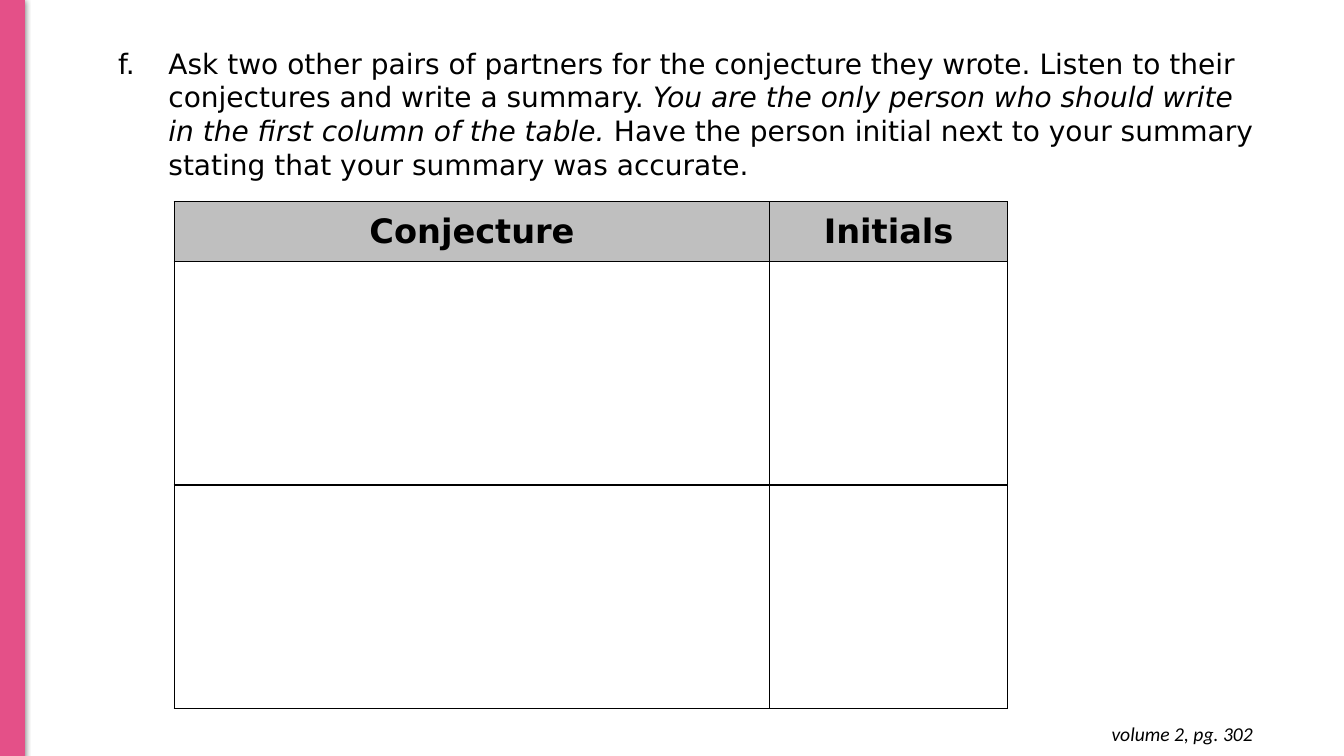
import pptx
import pptx.util
import pptx.dml.color
import pptx.enum.shapes
import pptx.enum.text
import pptx.oxml.ns
import lxml.etree

Cm = pptx.util.Cm
Pt = pptx.util.Pt
ALIGN = pptx.enum.text.PP_ALIGN
HUES = {"pink": "E45088", "black": "000000", "gray": "BFBFBF"}


def tint(name):
    return pptx.dml.color.RGBColor.from_string(HUES[name])


def write(para, text, size=20, face="DejaVu Sans", bold=False, slant=False, align=ALIGN.LEFT):
    para.alignment = align
    run = para.add_run()
    run.text = text
    font = run.font
    font.size, font.name = Pt(size), face
    font.bold, font.italic = bold, slant
    font.color.rgb = tint("black")


deck = pptx.Presentation()
deck.slide_width, deck.slide_height = Cm(33.87), Cm(19.05)
slide = deck.slides.add_slide(deck.slide_layouts[1])
title = slide.shapes.title
title.element.getparent().remove(title.element)
body = slide.placeholders[1]
ns = pptx.oxml.ns.nsdecls("a")

# Side bar with soft shadow
bar = slide.shapes.add_shape(
    pptx.enum.shapes.MSO_SHAPE.RECTANGLE, 0, Cm(-0.03), Cm(0.61), Cm(19.08))
bar.fill.solid()
bar.fill.fore_color.rgb = tint("pink")
bar.line.color.rgb = tint("pink")
bar.line.width = Pt(0.75)
bar.shadow.inherit = False
glow = bar.element.spPr.find(pptx.oxml.ns.qn("a:effectLst"))
glow.append(lxml.etree.fromstring(
    f'<a:outerShdw {ns} blurRad="{Pt(4.5)}" dist="{Pt(1.5)}" dir="5400000" rotWithShape="0">'
    f'<a:srgbClr val="{HUES["black"]}"><a:alpha val="50000"/></a:srgbClr></a:outerShdw>'))

# Task, lettered f.
body.left, body.top, body.width, body.height = Cm(1.5), Cm(1.04), Cm(30.5), Cm(3.68)
frame = body.text_frame
frame.word_wrap = True
frame.auto_size = pptx.enum.text.MSO_AUTO_SIZE.NONE
frame.vertical_anchor = pptx.enum.text.MSO_ANCHOR.TOP
task = frame.paragraphs[0]
props = task._p.get_or_add_pPr()
props.set("marL", str(Cm(2.49)))
props.set("indent", str(Cm(-1.27)))
for mark in (f'<a:buClr {ns}><a:srgbClr val="{HUES["black"]}"/></a:buClr>',
             f'<a:buFont {ns} typeface="DejaVu Sans"/>',
             f'<a:buAutoNum {ns} type="alphaLcPeriod" startAt="6"/>'):
    props.append(lxml.etree.fromstring(mark))
task.space_before = Pt(0)
for text, slant in (
        ("Ask two other pairs of partners for the conjecture they wrote. "
         "Listen to their conjectures and write a summary. ", False),
        ("You are the only person who should write in the first column of the table.", True),
        (" Have the person initial next to your summary stating that your "
         "summary was accurate.", False)):
    write(task, text, slant=slant)

# Table to fill in
heads = ("Conjecture", "Initials")
wides = (15.01, 5.99)
highs = (1.5, 5.64, 5.64)
table = slide.shapes.add_table(
    len(highs), len(wides), Cm(4.39), Cm(5.08), Cm(sum(wides)), Cm(sum(highs))).table
table.first_row = table.horz_banding = False
for col, wide in zip(table.columns, wides):
    col.width = Cm(wide)
for row, high in zip(table.rows, highs):
    row.height = Cm(high)
for cell in table.iter_cells():
    props = cell._tc.get_or_add_tcPr()
    for side in ("lnL", "lnR", "lnT", "lnB"):
        props.append(lxml.etree.fromstring(
            f'<a:{side} {ns} w="{Pt(1)}"><a:solidFill><a:srgbClr val="{HUES["black"]}"/>'
            f'</a:solidFill></a:{side}>'))
    cell.fill.background()
for cell, head in zip(table.rows[0].cells, heads):
    cell.fill.solid()
    cell.fill.fore_color.rgb = tint("gray")
    cell.vertical_anchor = pptx.enum.text.MSO_ANCHOR.MIDDLE
    cell.margin_left = cell.margin_right = Cm(0.15)
    cell.margin_top = cell.margin_bottom = 0
    write(cell.text_frame.paragraphs[0], head, size=24, bold=True, align=ALIGN.CENTER)

# Page note
note = slide.shapes.add_textbox(Cm(24.51), Cm(17.93), Cm(7.32), Cm(1.12)).text_frame
note.word_wrap = True
note.margin_left = note.margin_right = note.margin_top = note.margin_bottom = Cm(0.25)
write(note.paragraphs[0], "volume 2, pg. 302", size=14, face="Calibri",
      slant=True, align=ALIGN.RIGHT)

deck.save("out.pptx")
